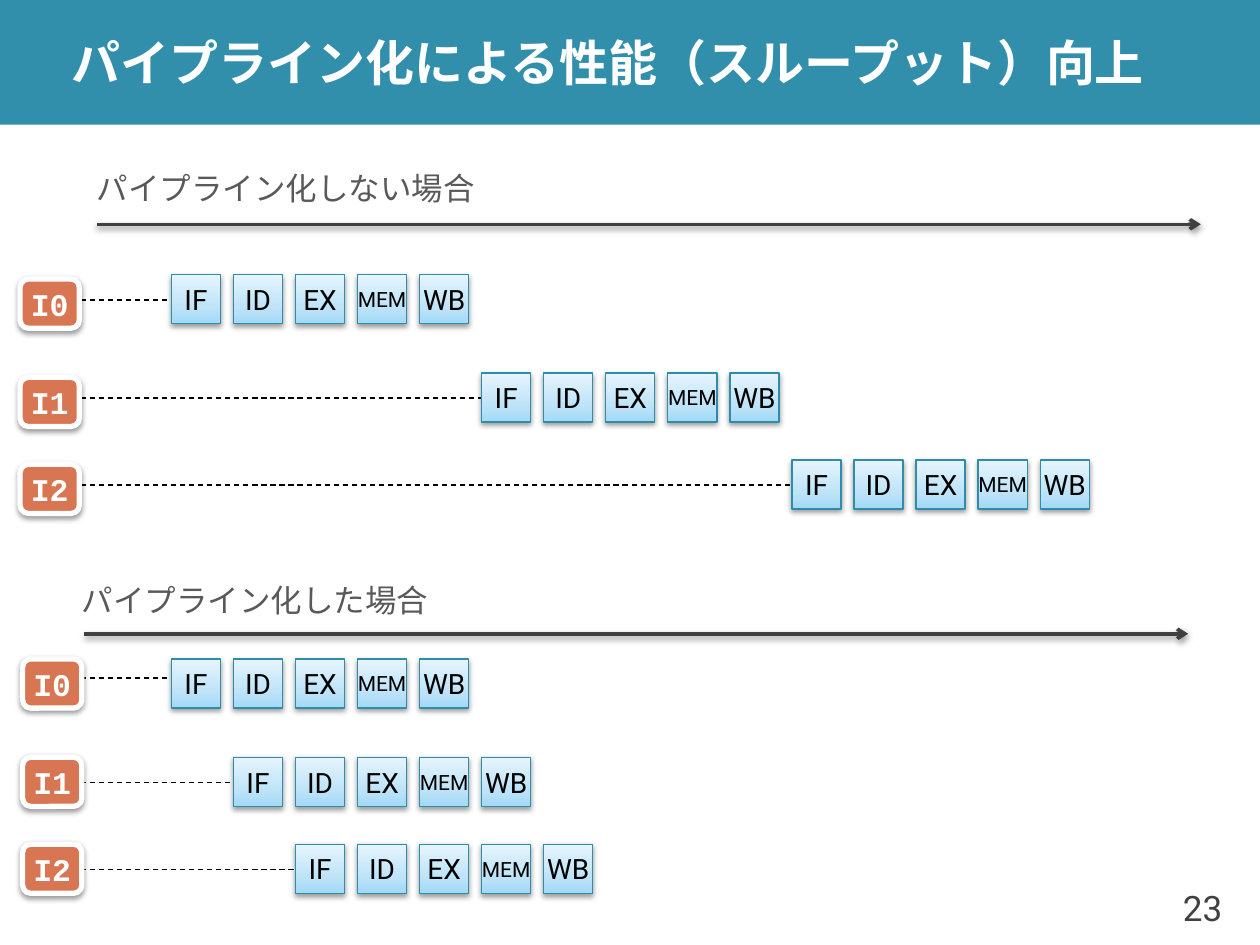
from dataclasses import dataclass

from lxml import etree
from pptx import Presentation
from pptx import util as u
from pptx.dml.color import RGBColor
from pptx.enum import dml, shapes, text
from pptx.oxml.ns import qn


@dataclass(frozen=True)
class Theme:
    band: str = "328FAC"
    title: str = "FFFFFF"
    label: str = "595959"
    dark: str = "404040"
    badge: str = "D87552"
    badge_text: str = "FFFFFF"
    wire: str = "000000"
    stage_text: str = "000000"
    stage_edge: str = "2E8DAB"
    shadow: str = "000000"
    stage_stops: tuple = ((0, "A2D9F7"), (35, "BFE4F8"), (100, "E6F5FD"))
    sans: str = "Roboto"
    mono: str = "Courier New"
    title_size: int = 28
    number_size: int = 20
    label_size: int = 18
    stage_size: int = 16
    long_stage_size: int = 12


@dataclass(frozen=True)
class Lane:
    instruction: str
    first_cycle: int
    top: float
    wire_drop: float = 0.2


@dataclass(frozen=True)
class Timeline:
    caption: str
    caption_at: tuple[float, float, float, float]
    axis_left: float
    axis_y: float
    badge_left: float
    badge_drop: float
    lanes: tuple[Lane, ...]


THEME = Theme()
STAGES = ("IF", "ID", "EX", "MEM", "WB")
FIRST_STAGE_LEFT = 1.36
CYCLE_WIDTH = 0.4925
STAGE_SIDE = 0.39
AXIS_LENGTH = 8.76
WIRE_LEFT = 0.57

TIMELINES = (
    Timeline("パイプライン化しない場合", (0.67, 1.29, 3.23, 0.4), 0.77, 1.78, 0.16, 0.035,
             (Lane("I0", 0, 2.18), Lane("I1", 5, 2.96), Lane("I2", 10, 3.65))),
    Timeline("パイプライン化した場合", (0.55, 4.56, 2.98, 0.4), 0.67, 5.03, 0.18, 0,
             (Lane("I0", 0, 5.23, 0.15), Lane("I1", 1, 6.01), Lane("I2", 2, 6.7))),
)


def color(code: str) -> RGBColor:
    return RGBColor.from_string(code)


def write(frame, words: str, size: int, code: str, font: str = THEME.sans,
          bold: bool = False, align=text.PP_ALIGN.LEFT,
          anchor=text.MSO_ANCHOR.MIDDLE, wrap: bool = False) -> None:
    frame.word_wrap = wrap
    frame.vertical_anchor = anchor
    paragraph = frame.paragraphs[0]
    paragraph.alignment = align
    run = paragraph.add_run()
    run.text = words
    run.font.name, run.font.size, run.font.bold = font, u.Pt(size), bold
    run.font.color.rgb = color(code)


def drop_shadow(effects) -> None:
    """Fill an empty a:effectLst with the soft shadow below an element."""
    outer = etree.SubElement(effects, qn("a:outerShdw"), blurRad=str(u.Pt(3.1)),
                             dist=str(u.Pt(1.6)), dir="5400000", rotWithShape="0")
    tint = etree.SubElement(outer, qn("a:srgbClr"), val=THEME.shadow)
    etree.SubElement(tint, qn("a:alpha"), val="38000")


def draw_box(parent, kind, left: float, top: float, width: float, height: float,
             edge: str | None = None, edge_width: float = 0):
    """Add a preset shape; one with an edge also gets the drop shadow."""
    box = parent.add_shape(kind, *map(u.Inches, (left, top, width, height)))
    box.shadow.inherit = False
    if edge is None:
        box.line.fill.background()
    else:
        box.line.color.rgb = color(edge)
        box.line.width = u.Pt(edge_width)
        drop_shadow(box._element.spPr.find(qn("a:effectLst")))
    return box


def draw_line(slide, left: float, right: float, y: float, code: str, width: float):
    """Add a level line and return it with its empty effect list."""
    line = slide.shapes.add_connector(
        shapes.MSO_CONNECTOR.STRAIGHT, *map(u.Inches, (left, y, right, y)))
    line.line.color.rgb = color(code)
    line.line.width = u.Pt(width)
    return line, etree.SubElement(line._element.spPr, qn("a:effectLst"))


def draw_axis(slide, left: float, y: float) -> None:
    axis, effects = draw_line(slide, left, left + AXIS_LENGTH, y, THEME.dark, 2)
    etree.SubElement(axis._element.spPr.find(qn("a:ln")), qn("a:tailEnd"), type="arrow")
    drop_shadow(effects)


def draw_stage(parent, name: str, left: float, top: float) -> None:
    stage = draw_box(parent, shapes.MSO_SHAPE.RECTANGLE, left, top,
                     STAGE_SIDE, STAGE_SIDE, THEME.stage_edge, 0.75)
    stage.fill.gradient()
    stage.fill.gradient_angle = 90
    stops = stage._element.spPr.find(qn("a:gradFill")).find(qn("a:gsLst"))
    for stop in list(stops):
        stops.remove(stop)
    for percent, code in THEME.stage_stops:
        stop = etree.SubElement(stops, qn("a:gs"), pos=str(percent * 1000))
        etree.SubElement(stop, qn("a:srgbClr"), val=code)
    size = THEME.stage_size if len(name) < 3 else THEME.long_stage_size
    write(stage.text_frame, name, size, THEME.stage_text, align=text.PP_ALIGN.CENTER)


def draw_lane(slide, lane: Lane, badge_left: float, badge_drop: float) -> None:
    start = FIRST_STAGE_LEFT + lane.first_cycle * CYCLE_WIDTH
    wire, _ = draw_line(slide, WIRE_LEFT, start, lane.top + lane.wire_drop, THEME.wire, 0.75)
    wire.line.dash_style = dml.MSO_LINE.DASH

    badge = draw_box(slide.shapes, shapes.MSO_SHAPE.ROUNDED_RECTANGLE, badge_left,
                     lane.top + badge_drop, 0.47, 0.39, THEME.badge_text, 3)
    badge.fill.solid()
    badge.fill.fore_color.rgb = color(THEME.badge)
    write(badge.text_frame, lane.instruction, THEME.label_size, THEME.badge_text,
          THEME.mono, bold=True, align=text.PP_ALIGN.CENTER)

    stages = slide.shapes.add_group_shape().shapes
    for cycle, name in enumerate(STAGES):
        draw_stage(stages, name, start + cycle * CYCLE_WIDTH, lane.top)


def draw_timeline(slide, timeline: Timeline) -> None:
    caption = slide.shapes.add_textbox(*map(u.Inches, timeline.caption_at))
    write(caption.text_frame, timeline.caption, THEME.label_size, THEME.label,
          anchor=text.MSO_ANCHOR.TOP)
    draw_axis(slide, timeline.axis_left, timeline.axis_y)
    for lane in timeline.lanes:
        draw_lane(slide, lane, timeline.badge_left, timeline.badge_drop)


def draw_heading(slide) -> None:
    band = draw_box(slide.shapes, shapes.MSO_SHAPE.RECTANGLE, 0, 0, 10, 0.99)
    band.fill.solid()
    band.fill.fore_color.rgb = color(THEME.band)
    title = slide.shapes.title
    title._element.addprevious(band._element)
    title.left, title.top, title.width, title.height = map(u.Inches, (0.47, 0, 9.53, 0.99))
    frame = title.text_frame
    frame.auto_size = text.MSO_AUTO_SIZE.NONE
    frame.margin_top = frame.margin_bottom = 0
    write(frame, "パイプライン化による性能（スループット）向上", THEME.title_size,
          THEME.title, bold=True, wrap=True)


def main() -> None:
    deck = Presentation()
    deck.slide_width, deck.slide_height = u.Inches(10), u.Inches(7.5)
    slide = deck.slides.add_slide(deck.slide_layouts[5])
    draw_heading(slide)
    for timeline in TIMELINES:
        draw_timeline(slide, timeline)
    number = slide.shapes.add_textbox(*map(u.Inches, (9.13, 6.9, 0.67, 0.6)))
    write(number.text_frame, "23", THEME.number_size, THEME.dark, align=text.PP_ALIGN.RIGHT)
    deck.save("out.pptx")


if __name__ == "__main__":
    main()
